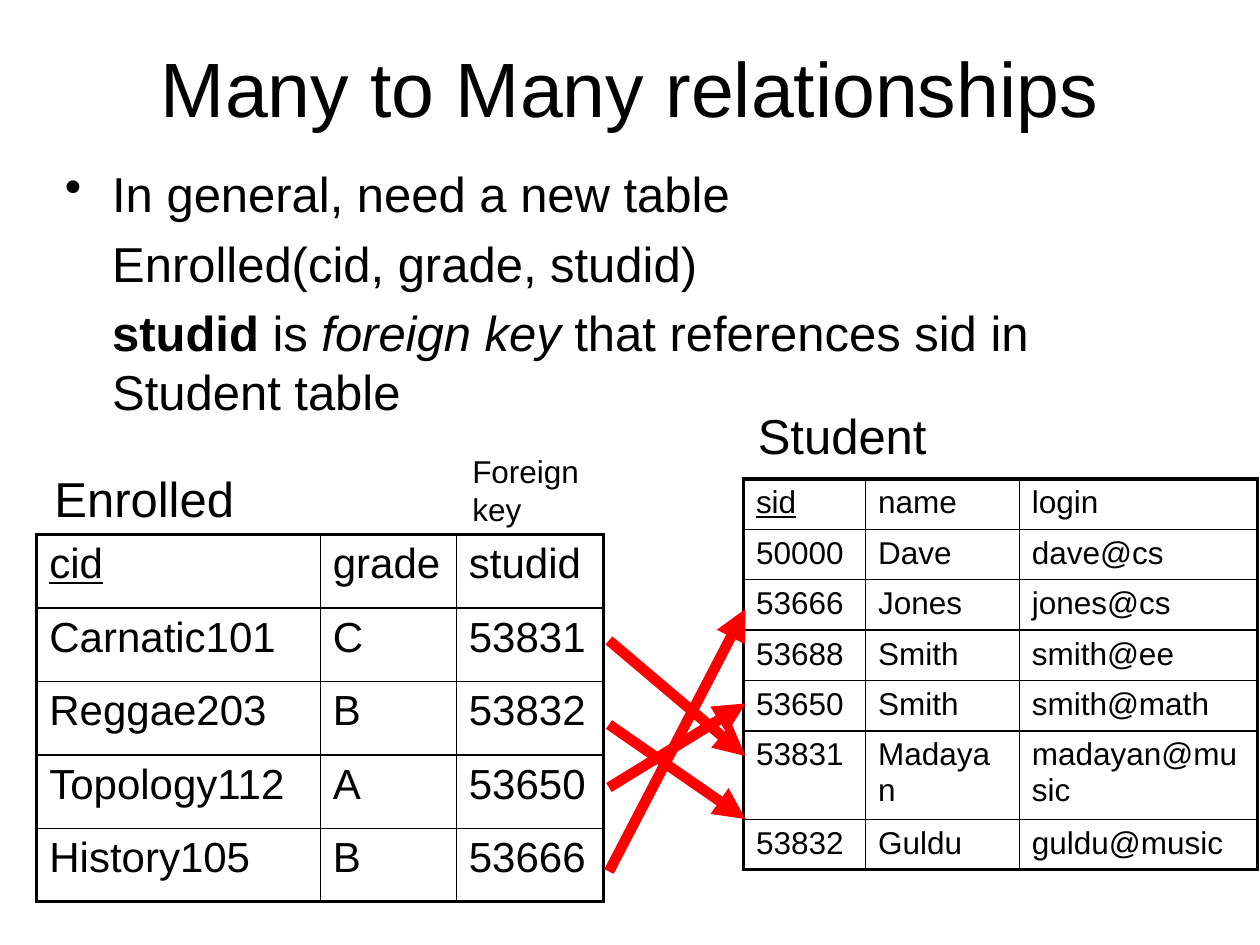
from collections import namedtuple
from dataclasses import dataclass

from lxml.etree import SubElement
from pptx import Presentation
from pptx.dml.color import RGBColor
from pptx.enum.shapes import MSO_CONNECTOR
from pptx.enum.text import MSO_ANCHOR, PP_ALIGN
from pptx.oxml.ns import qn
from pptx.util import Inches, Pt

COLUMNS, ROWS = 120, 90  # grid of twelve cells to the inch
Box = namedtuple("Box", "left top width height")


@dataclass(frozen=True)
class Theme:
    font: str = "Arial"
    ink: str = "000000"
    arrow: str = "FF0000"
    title: int = 44
    body: int = 28
    enrolled: int = 24
    small: int = 18
    outer_line: float = 2.25
    inner_line: float = 1
    arrow_line: float = 6


THEME = Theme()


def grid(cells):
    return Inches(cells / 12)


def write(frame, paragraphs, size, align=PP_ALIGN.LEFT, gap=0, hang=0, bullets=()):
    """Each paragraph is a list of (text, style) runs; style holds b, i or u."""
    for index, runs in enumerate(paragraphs):
        paragraph = frame.paragraphs[0] if index == 0 else frame.add_paragraph()
        if hang:
            properties = paragraph._p.get_or_add_pPr()
            properties.set("marL", str(grid(hang)))
            bulleted = index in bullets
            properties.set("indent", str(-grid(hang) if bulleted else 0))
            if bulleted:
                SubElement(properties, qn("a:buChar")).set("char", "•")
            else:
                SubElement(properties, qn("a:buNone"))
        paragraph.alignment = align
        if index and gap:
            paragraph.space_before = Pt(gap)
        for text, style in runs:
            run = paragraph.add_run()
            run.text = text
            run.font.name = THEME.font
            run.font.size = Pt(size)
            run.font.color.rgb = RGBColor.from_string(THEME.ink)
            run.font.bold = "b" in style
            run.font.italic = "i" in style
            run.font.underline = "u" in style


def text_box(slide, box, paragraphs, wrap=False, anchor=MSO_ANCHOR.TOP, **text_format):
    frame = slide.shapes.add_textbox(*map(grid, box)).text_frame
    frame.word_wrap = wrap
    frame.vertical_anchor = anchor
    write(frame, paragraphs, **text_format)


def draw_borders(cell, outer_sides):
    properties = cell._tc.get_or_add_tcPr()
    for side in "LRTB":
        width = THEME.outer_line if side in outer_sides else THEME.inner_line
        line = SubElement(properties, qn(f"a:ln{side}"), w=str(Pt(width)))
        fill = SubElement(line, qn("a:solidFill"))
        SubElement(fill, qn("a:srgbClr"), val=THEME.ink)


def relation(slide, box, records, widths, heights, size):
    """Table with a heavy frame, thin inner lines and an underlined key."""
    last_row, last_column = len(records) - 1, len(widths) - 1
    table = slide.shapes.add_table(
        len(records), len(widths), *map(grid, box)).table
    table.first_row = table.horz_banding = False
    for column, width in zip(table.columns, widths):
        column.width = Inches(width)
    for row, height in zip(table.rows, heights):
        row.height = Inches(height)
    for r, record in enumerate(records):
        for c, value in enumerate(record):
            cell = table.cell(r, c)
            edges = {"T": r == 0, "B": r == last_row,
                     "L": c == 0, "R": c == last_column}
            draw_borders(cell, [side for side, outer in edges.items() if outer])
            cell.fill.background()
            write(cell.text_frame, [[(value, "u" if r == c == 0 else "")]], size)


def key_arrows(slide, box, links):
    """Each link joins a row at the left edge to a row at the right edge."""
    for start, end in links:
        arrow = slide.shapes.add_connector(
            MSO_CONNECTOR.STRAIGHT,
            grid(box.left), grid(box.top + start),
            grid(box.left + box.width), grid(box.top + end))
        arrow.line.color.rgb = RGBColor.from_string(THEME.arrow)
        arrow.line.width = Pt(THEME.arrow_line)
        SubElement(arrow.line._get_or_add_ln(), qn("a:tailEnd"), type="triangle")
        SubElement(arrow._element.spPr, qn("a:effectLst"))


def heading(slide, box):
    text_box(slide, box, [[("Many to Many relationships", "")]], wrap=True,
             anchor=MSO_ANCHOR.MIDDLE, size=THEME.title, align=PP_ALIGN.CENTER)


def explanation(slide, box):
    text_box(slide, box, [
        [("In general, need a new table", "")],
        [("Enrolled(cid, grade, studid)", "")],
        [("studid", "b"), (" is ", ""), ("foreign key", "i"),
         (" that references sid in Student table", "")],
    ], wrap=True, size=THEME.body, gap=6, hang=4.5, bullets=(0,))


def enrolled(slide, box):
    relation(slide, box, [
        ("cid", "grade", "studid"),
        ("Carnatic101", "C", "53831"),
        ("Reggae203", "B", "53832"),
        ("Topology112", "A", "53650"),
        ("History105", "B", "53666"),
    ], widths=(2.25, 1.08, 1.17), heights=[box.height / 12 / 5] * 5,
        size=THEME.enrolled)
    text_box(slide, Box(box.left + 0.5, box.top - 6.9, 19.6, 6.9),
             [[("Enrolled", "")]], size=THEME.body)
    text_box(slide, Box(box.left + 40.3, box.top - 8.4, 12.6, 8.4),
             [[("Foreign", "")], [("key", "")]], size=THEME.small)


def student(slide, box):
    relation(slide, box, [
        ("sid", "name", "login"),
        ("50000", "Dave", "dave@cs"),
        ("53666", "Jones", "jones@cs"),
        ("53688", "Smith", "smith@ee"),
        ("53650", "Smith", "smith@math"),
        ("53831", "Madayan", "madayan@music"),
        ("53832", "Guldu", "guldu@music"),
    ], widths=(0.97, 1.22, 1.89), heights=[0.38] * 5 + [0.66, 0.38],
        size=THEME.small)
    text_box(slide, Box(box.left + 0.2, box.top - 7.6, 18.5, 6.9),
             [[("Student", "")]], size=THEME.body)


def main():
    deck = Presentation()
    deck.slide_width, deck.slide_height = grid(COLUMNS), grid(ROWS)
    slide = deck.slides.add_slide(deck.slide_layouts[6])
    heading(slide, Box(6, 3.6, 108, 9.4))
    explanation(slide, Box(5, 15, 105, 27))
    enrolled(slide, Box(3.5, 50.9, 54, 35))
    student(slide, Box(70.8, 45.6, 49, 35.3))
    key_arrows(slide, Box(58, 58, 13, 25),
               links=[(3, 14), (11, 20), (17, 9), (25, 0)])
    deck.save("out.pptx")


if __name__ == "__main__":
    main()
